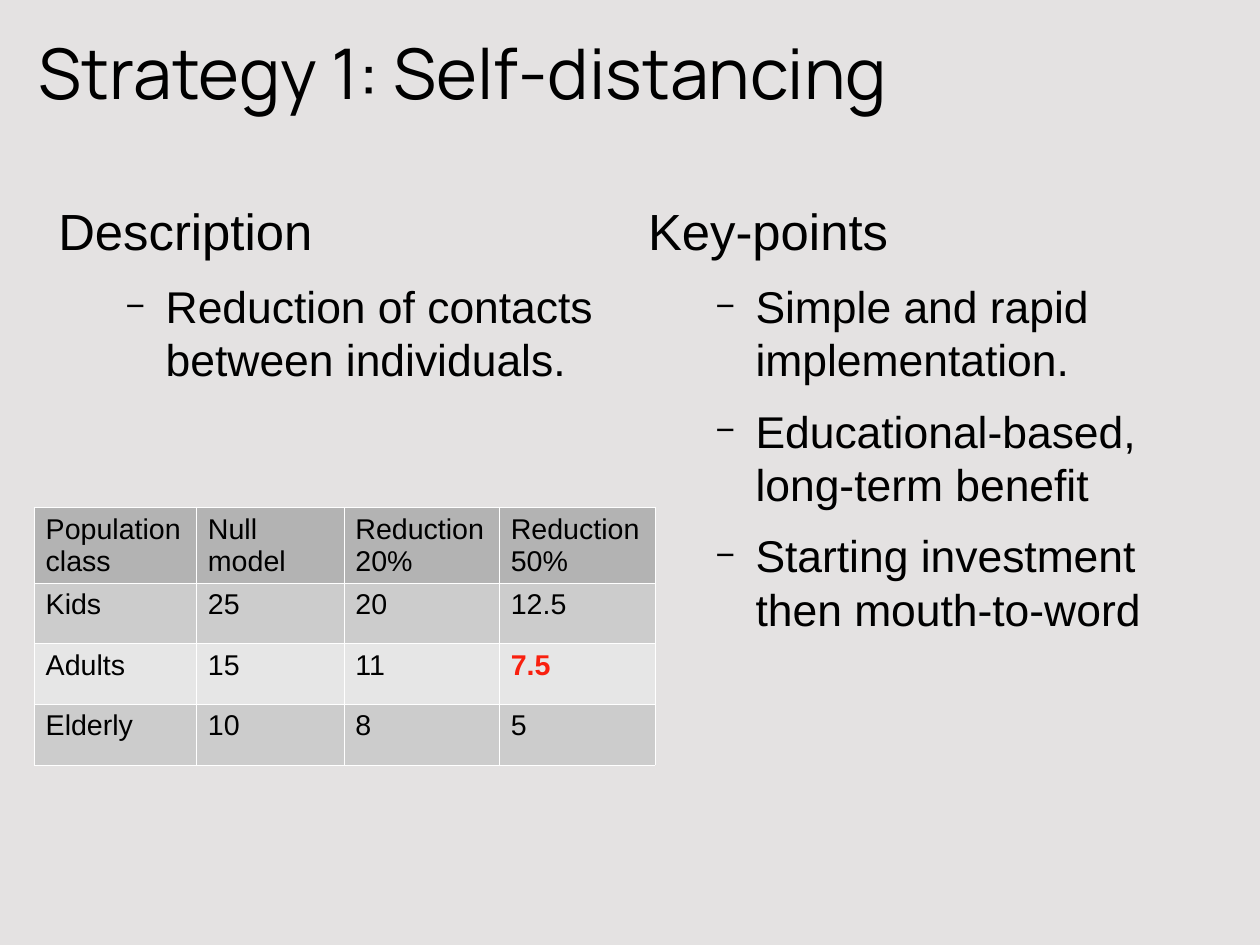
import dataclasses

import lxml.etree
import pptx
import pptx.dml.color
import pptx.oxml.ns
import pptx.util

Inches = pptx.util.Inches
Pt = pptx.util.Pt
CM_PER_INCH = 2.54


@dataclasses.dataclass(frozen=True)
class Theme:
    background: str = "E4E2E2"
    text: str = "000000"
    highlight: str = "F9200F"
    header_fill: str = "B3B3B3"
    odd_fill: str = "CCCCCC"
    even_fill: str = "E6E6E6"
    border: str = "FFFFFF"
    title_font: str = "Manrope"
    body_font: str = "Arial"
    title_size: int = 44
    heading_size: int = 32
    item_size: int = 28
    table_size: int = 18


def rgb(color):
    return pptx.dml.color.RGBColor.from_string(color)


def add_xml(parent, tag, **attributes):
    return lxml.etree.SubElement(parent, pptx.oxml.ns.qn(tag), attributes)


class SlideBuilder:
    def __init__(self, slide, theme):
        self.slide = slide
        self.theme = theme
        background = slide.background.fill
        background.solid()
        background.fore_color.rgb = rgb(theme.background)

    def add_run(self, paragraph, text, size, font=None, color=None, bold=False):
        run = paragraph.add_run()
        run.text = text
        run.font.name = font or self.theme.body_font
        run.font.size = Pt(size)
        run.font.bold = bold
        run.font.color.rgb = rgb(color or self.theme.text)

    def add_frame(self, left, top, width, height):
        box = self.slide.shapes.add_textbox(
            Inches(left), Inches(top), Inches(width), Inches(height))
        box.text_frame.word_wrap = True
        return box.text_frame

    def add_title(self, text, left, top, width, height):
        frame = self.add_frame(left, top, width, height)
        self.add_run(frame.paragraphs[0], text, self.theme.title_size,
                     self.theme.title_font)

    def add_column(self, heading, items, left, top, width, height):
        frame = self.add_frame(left, top, width, height)
        frame.margin_left = frame.margin_right = 0
        frame.margin_top = frame.margin_bottom = 0
        self.add_run(frame.paragraphs[0], heading, self.theme.heading_size)
        for item in items:
            paragraph = frame.add_paragraph()
            paragraph.level = 1
            paragraph.space_before = Pt(11.3)
            self.add_dash(paragraph)
            self.add_run(paragraph, item, self.theme.item_size)

    def add_dash(self, paragraph):
        """Give the paragraph a small hanging dash as its bullet."""
        properties = paragraph._p.get_or_add_pPr()
        properties.set("marL", str(Inches(0.94)))
        properties.set("indent", str(-Inches(0.35)))
        bullet_color = add_xml(properties, "a:buClr")
        add_xml(bullet_color, "a:srgbClr", val=self.theme.text)
        add_xml(properties, "a:buSzPct", val="75000")
        add_xml(properties, "a:buFont", typeface=self.theme.body_font)
        add_xml(properties, "a:buChar", char="−")

    def add_table(self, rows, left, top, widths, heights, highlighted):
        """Fill a table; a line break in a cell starts a new paragraph."""
        table = self.slide.shapes.add_table(
            len(rows), len(widths), Inches(left), Inches(top),
            Inches(sum(widths)), Inches(sum(heights))).table
        table.first_row = table.horz_banding = False
        for column, width in zip(table.columns, widths):
            column.width = Inches(width)
        for index, (row, height) in enumerate(zip(rows, heights)):
            table.rows[index].height = Inches(height)
            if index == 0:
                fill = self.theme.header_fill
            else:
                fill = self.theme.odd_fill if index % 2 else self.theme.even_fill
            for column_index, text in enumerate(row):
                self.fill_cell(table.cell(index, column_index), text, fill,
                               (index, column_index) == highlighted)

    def fill_cell(self, cell, text, fill, highlighted):
        cell.margin_bottom = Inches(0.01)
        for side in ("a:lnL", "a:lnR", "a:lnT", "a:lnB"):
            line = add_xml(cell._tc.get_or_add_tcPr(), side, w=str(Pt(0.06)))
            add_xml(add_xml(line, "a:solidFill"), "a:srgbClr",
                    val=self.theme.border)
        cell.fill.solid()
        cell.fill.fore_color.rgb = rgb(fill)
        color = self.theme.highlight if highlighted else self.theme.text
        for index, part in enumerate(text.split("\n")):
            frame = cell.text_frame
            paragraph = frame.add_paragraph() if index else frame.paragraphs[0]
            self.add_run(paragraph, part, self.theme.table_size,
                         color=color, bold=highlighted)


def main():
    presentation = pptx.Presentation()
    presentation.slide_width = Inches(28 / CM_PER_INCH)
    presentation.slide_height = Inches(21 / CM_PER_INCH)
    slide = presentation.slides.add_slide(presentation.slide_layouts[6])
    builder = SlideBuilder(slide, Theme())

    builder.add_title("Strategy 1: Self-distancing", 0.24, 0.21, 8.42, 0.93)
    columns = {
        "Description": ["Reduction of contacts between individuals."],
        "Key-points": [
            "Simple and rapid implementation.",
            "Educational-based, long-term benefit",
            "Starting investment then mouth-to-word",
        ],
    }
    for index, (heading, items) in enumerate(columns.items()):
        builder.add_column(heading, items, 0.51 + index * 5.16, 1.75, 4.69, 4.35)

    contacts = [
        ["Population class", "Null model", "Reduction 20%", "Reduction\n50%"],
        ["Kids", "25", "20", "12.5"],
        ["Adults", "15", "11", "7.5"],
        ["Elderly", "10", "8", "5"],
    ]
    builder.add_table(contacts, 0.3, 4.44, [1.42, 1.29, 1.36, 1.36],
                      [0.66] + [0.53] * 3, highlighted=(2, 3))
    presentation.save("out.pptx")


if __name__ == "__main__":
    main()
